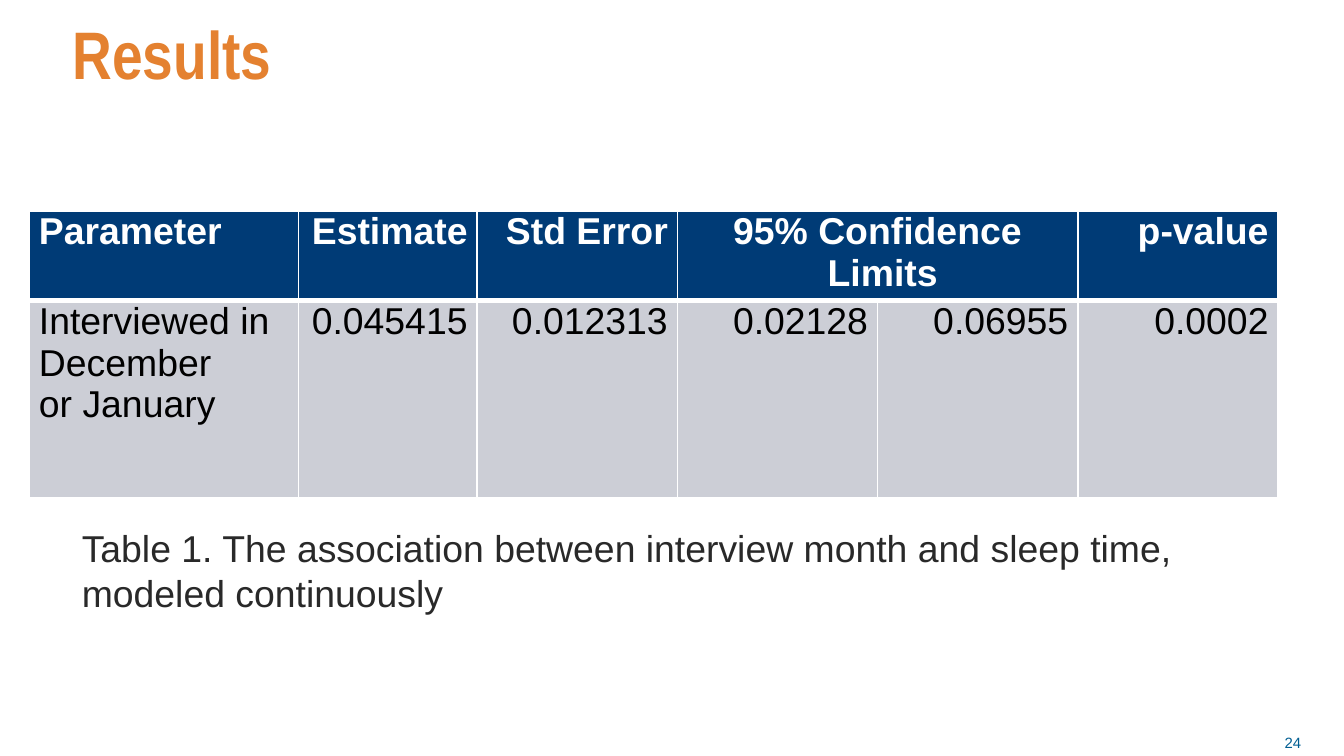
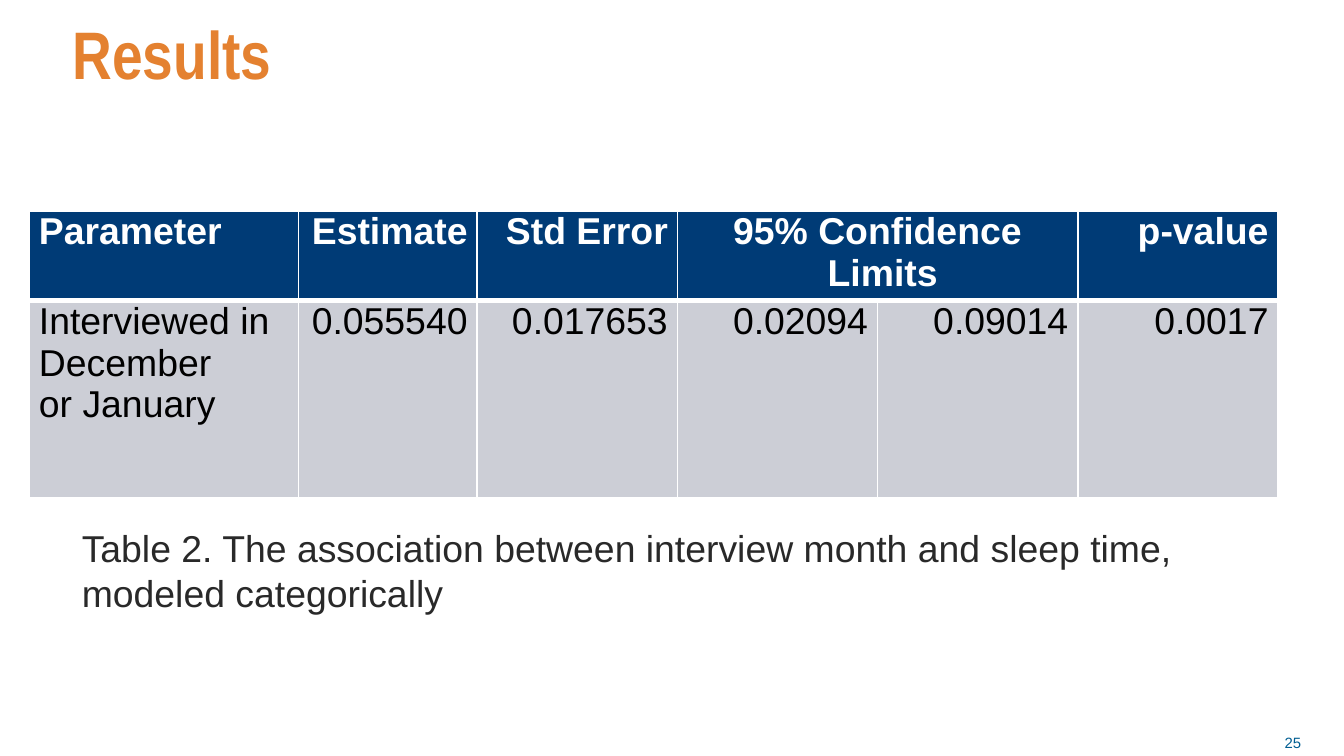
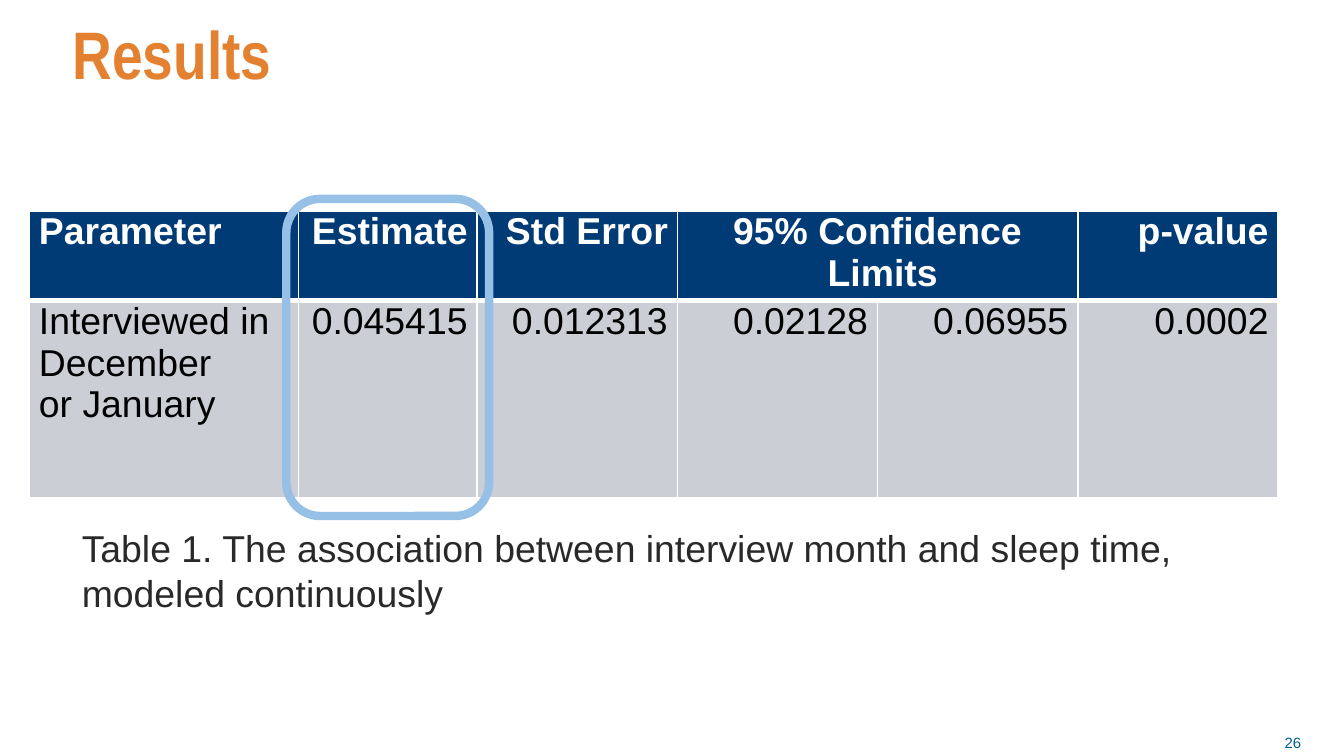
from dataclasses import dataclass
from typing import Optional

import pptx
import pptx.dml.color
import pptx.enum.shapes
import pptx.enum.text
import pptx.oxml
import pptx.oxml.ns
import pptx.util
from pptx.util import Inches

COLORS = {
    "title": "E48130",
    "header": "003B76",
    "body": "CCCED6",
    "white": "FFFFFF",
    "black": "000000",
    "caption": "292929",
    "number": "005E92",
    "highlight": "97C0E6",
}
ALIGN = pptx.enum.text.PP_ALIGN
ANCHOR = pptx.enum.text.MSO_ANCHOR
LEFT, CENTER, RIGHT = ALIGN.LEFT, ALIGN.CENTER, ALIGN.RIGHT
COLUMN_WIDTHS = [2, 1.33] + [1.49] * 4
ROW_HEIGHTS = [0.6, 1.47]
HEADERS = ["Parameter", "Estimate", "Std Error", "95% Confidence\n Limits", "", "p-value"]
HEADER_ALIGNS = [LEFT, RIGHT, RIGHT, CENTER, CENTER, RIGHT]
BODY_ALIGNS = [LEFT] + [RIGHT] * 5
HEADER_BORDERS = {"L": 1, "R": 1, "T": 1, "B": 3}
BODY_BORDERS = {"L": 1, "R": 1, "B": 1}
PARAMETER = "Interviewed in\nDecember\nor January"


@dataclass(frozen=True)
class TextStyle:
    size: float
    color: str
    font: str = "Arial"
    bold: bool = False
    line_spacing: Optional[float] = None


@dataclass(frozen=True)
class Box:
    left: float
    top: float
    width: float
    height: float

    def emu(self) -> list[int]:
        return [Inches(v) for v in (self.left, self.top, self.width, self.height)]


@dataclass(frozen=True)
class Result:
    number: int
    caption: str
    values: list[str]
    highlighted: bool = False


TITLE = TextStyle(36, "title", "Arial Narrow", True, 0.83)
NUMBER = TextStyle(8, "number")
CAPTION = TextStyle(20, "caption")
HEADER = TextStyle(20, "white", bold=True)
BODY = TextStyle(20, "black")

TITLE_BOX = Box(0.44, 0.15, 8.97, 0.59)
TABLE_BOX = Box(0.22, 1.57, sum(COLUMN_WIDTHS), sum(ROW_HEIGHTS))
CAPTION_BOX = Box(0.51, 3.86, 8.38, 0.77)
NUMBER_BOX = Box(9.38, 5.41, 0.4, 0.24)
HIGHLIGHT_BOX = Box(2.13, 1.48, 1.51, 2.36)

CONTINUOUS = ["0.045415", "0.012313", "0.02128", "0.06955", "0.0002"]
CATEGORICAL = ["0.055540", "0.017653", "0.02094", "0.09014", "0.0017"]
ASSOCIATION = "The association between interview month and sleep time,\nmodeled"
TABLE_1 = f"Table 1. {ASSOCIATION} continuously"
TABLE_2 = f"Table 2. {ASSOCIATION} categorically"
RESULTS = [
    Result(24, TABLE_1, CONTINUOUS),
    Result(25, TABLE_2, CATEGORICAL),
    Result(26, TABLE_1, CONTINUOUS, highlighted=True),
]


def rgb(name: str) -> pptx.dml.color.RGBColor:
    return pptx.dml.color.RGBColor.from_string(COLORS[name])


def write(tf, text: str, style: TextStyle, align=LEFT) -> None:
    tf.text = text
    for p in tf.paragraphs:
        p.alignment = align
        p.line_spacing = style.line_spacing
        p.font.name = style.font
        p.font.size = pptx.util.Pt(style.size)
        p.font.bold = style.bold
        p.font.color.rgb = rgb(style.color)


def add_text(s, box: Box, text: str, style: TextStyle, align=LEFT, anchor=ANCHOR.TOP) -> None:
    tf = s.shapes.add_textbox(*box.emu()).text_frame
    tf.word_wrap = True
    tf.vertical_anchor = anchor
    write(tf, text, style, align)


def set_borders(cell, borders: dict[str, float]) -> None:
    tc_pr = cell._tc.get_or_add_tcPr()
    for side, width in borders.items():
        tc_pr.append(pptx.oxml.parse_xml(
            f'<a:ln{side} {pptx.oxml.ns.nsdecls("a")} w="{pptx.util.Pt(width)}">'
            f'<a:solidFill><a:srgbClr val="{COLORS["white"]}"/></a:solidFill></a:ln{side}>'))


def add_row(table, row: int, texts: list[str], style: TextStyle, aligns: list,
            fill: str, borders: dict[str, float]) -> None:
    table.rows[row].height = Inches(ROW_HEIGHTS[row])
    for cell, text, align in zip(table.rows[row].cells, texts, aligns):
        cell.margin_left = cell.margin_right = Inches(0.07)
        cell.margin_top = cell.margin_bottom = 0
        set_borders(cell, borders)
        cell.fill.solid()
        cell.fill.fore_color.rgb = rgb(fill)
        write(cell.text_frame, text, style, align)


def add_results_table(s, values: list[str]) -> None:
    table = s.shapes.add_table(len(ROW_HEIGHTS), len(COLUMN_WIDTHS), *TABLE_BOX.emu()).table
    for column, width in zip(table.columns, COLUMN_WIDTHS):
        column.width = Inches(width)
    add_row(table, 0, HEADERS, HEADER, HEADER_ALIGNS, "header", HEADER_BORDERS)
    add_row(table, 1, [PARAMETER, *values], BODY, BODY_ALIGNS, "body", BODY_BORDERS)
    table.cell(0, 3).merge(table.cell(0, 4))


def add_highlight(s) -> None:
    sp = s.shapes.add_shape(pptx.enum.shapes.MSO_SHAPE.ROUNDED_RECTANGLE, *HIGHLIGHT_BOX.emu())
    sp.shadow.inherit = False
    sp.fill.background()
    sp.line.color.rgb = rgb("highlight")
    sp.line.width = pptx.util.Pt(4.5)


def add_result_slide(prs, result: Result) -> None:
    s = prs.slides.add_slide(prs.slide_layouts[6])
    add_text(s, NUMBER_BOX, str(result.number), NUMBER, RIGHT)
    add_text(s, TITLE_BOX, "Results", TITLE, anchor=ANCHOR.BOTTOM)
    add_results_table(s, result.values)
    add_text(s, CAPTION_BOX, result.caption, CAPTION)
    if result.highlighted:
        add_highlight(s)


def main() -> None:
    prs = pptx.Presentation()
    prs.slide_width = Inches(10)
    prs.slide_height = prs.slide_width * 9 // 16
    for result in RESULTS:
        add_result_slide(prs, result)
    prs.save("out.pptx")


if __name__ == "__main__":
    main()
